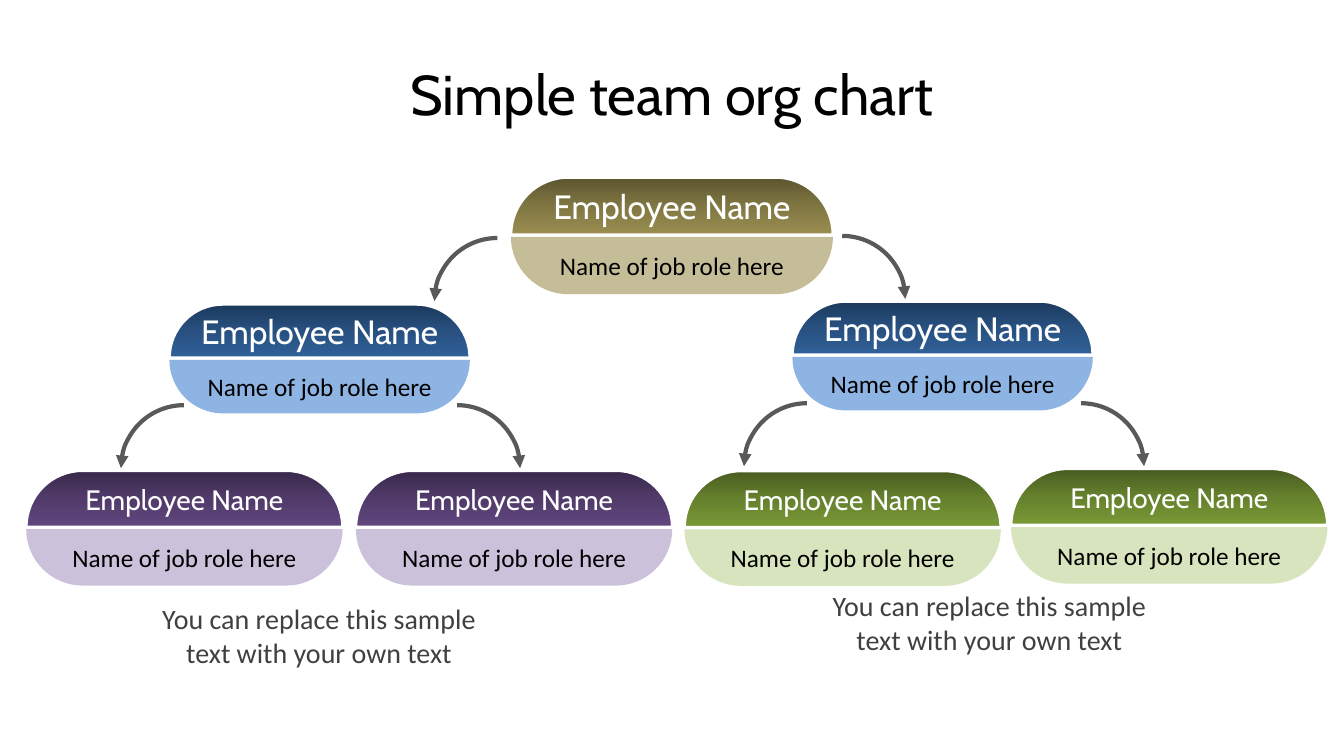
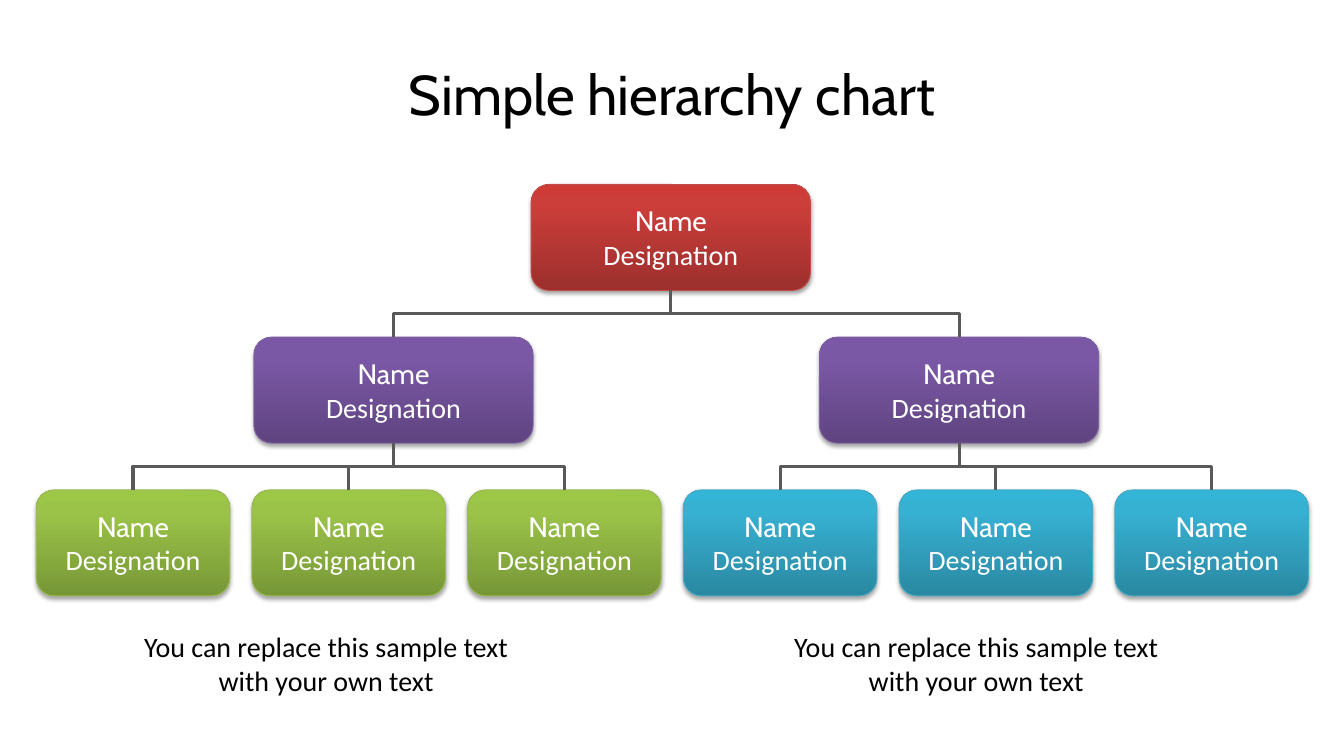
from copy import deepcopy
from math import cos, pi, sin

from pptx import Presentation
from pptx.dml.color import RGBColor
from pptx.enum.shapes import MSO_CONNECTOR, MSO_SHAPE
from pptx.enum.text import MSO_ANCHOR, PP_ALIGN
from pptx.oxml import parse_xml
from pptx.oxml.ns import nsdecls, qn
from pptx.util import Pt

COLOURS = {"text": "000000", "white": "FFFFFF", "soft": "404040", "link": "595959"}
GRADIENTS = {
    "olive": ("5A542F", "817743", "998D4F"),
    "navy": ("1C395B", "285181", "306099"),
    "plum": ("39294B", "513B6B", "60467E"),
    "leaf": ("485B20", "66812D", "799936"),
    "red": ("9C2F2D", "CB3E3A", "CE3B37"),
    "violet": ("5F4480", "7B58A6", "7C57A8"),
    "lime": ("779737", "9BC348", "9DC746"),
    "cyan": ("2A88A2", "37B1D2", "34B4D6"),
}
ROLE_FILLS = {"olive": "C4BD97", "navy": "8EB4E3", "plum": "CCC1DA", "leaf": "D7E4BD"}
BORDERS = {"red": "BF4C48", "violet": "7D60A0", "lime": "98B955", "cyan": "46AAC5"}
HEADING, BODY = "Cabin", "Calibri"
SAMPLE = "You can replace this sample text with your own text"


class ChartDeck:
    def __init__(self):
        self.deck = Presentation()
        self.deck.slide_width, self.deck.slide_height = Pt(960), Pt(540)
        self.shapes = None

    def add_slide(self, title):
        self.shapes = self.deck.slides.add_slide(self.deck.slide_layouts[6]).shapes
        self.label(48, 21.6, 864, 90, title, 40, HEADING, COLOURS["text"], MSO_ANCHOR.MIDDLE)

    def set_text(self, shape, text, styles, anchor):
        frame = shape.text_frame
        frame.word_wrap = True
        frame.vertical_anchor = anchor
        frame.text = text
        for paragraph, (size, font, colour) in zip(frame.paragraphs, styles):
            paragraph.alignment = PP_ALIGN.CENTER
            for run in paragraph.runs:
                run.font.size = Pt(size)
                run.font.name = font
                run.font.color.rgb = RGBColor.from_string(colour)

    def label(self, left, top, width, height, text, size, font, colour, anchor=MSO_ANCHOR.TOP):
        box = self.shapes.add_textbox(Pt(left), Pt(top), Pt(width), Pt(height))
        self.set_text(box, text, [(size, font, colour)], anchor)

    def stroke(self, line, colour, width):
        line.color.rgb = RGBColor.from_string(colour)
        line.width = Pt(width)

    def shade(self, shape, palette, middle, angle):
        shape.fill.gradient()
        shape.fill.gradient_angle = angle
        stop_list = next(shape._element.spPr.iter(qn("a:gsLst")))
        stop_list.insert(1, deepcopy(stop_list[0]))
        stops = zip(shape.fill.gradient_stops, (0, middle, 1), GRADIENTS[palette])
        for stop, position, colour in stops:
            stop.position = position
            stop.color.rgb = RGBColor.from_string(colour)

    def half_pill(self, left, flat_edge, width, height, direction):
        angles = [pi / 2 * step / 16 for step in range(17)]
        curve = [(height * (1 - cos(a)), flat_edge + direction * height * sin(a)) for a in angles]
        outline = [(left + x, y) for x, y in curve]
        outline += [(left + width - x, y) for x, y in reversed(curve)]
        points = [(Pt(x), Pt(y)) for x, y in outline]
        builder = self.shapes.build_freeform(*points[0], scale=1.0)
        builder.add_line_segments(points[1:], close=True)
        half = builder.convert_to_shape()
        half.shadow.inherit = False
        return half

    def pill(self, left, top, width, height, palette, name_size):
        name = self.half_pill(left, top + height, width, height, -1)
        self.shade(name, palette, 0.5, 270)
        self.stroke(name.line, COLOURS["white"], 2)
        self.set_text(name, "Employee Name", [(name_size, HEADING, COLOURS["white"])], MSO_ANCHOR.MIDDLE)
        role = self.half_pill(left, top + height + 1.5, width, height, 1)
        role.fill.solid()
        role.fill.fore_color.rgb = RGBColor.from_string(ROLE_FILLS[palette])
        role.line.fill.background()
        self.set_text(role, "Name of job role here", [(18, BODY, COLOURS["text"])], MSO_ANCHOR.MIDDLE)

    def curved_arrow(self, left, top, to_left):
        arc = self.shapes.add_shape(MSO_SHAPE.ARC, Pt(left), Pt(top), Pt(90), Pt(90))
        arc.shadow.inherit = False
        arc.fill.background()
        self.stroke(arc.line, COLOURS["link"], 3)
        properties = arc._element.spPr
        properties.find(qn("a:ln")).append(parse_xml(f'<a:tailEnd {nsdecls("a")} type="triangle"/>'))
        if to_left:
            properties.find(qn("a:xfrm")).set("flipH", "1")

    def card(self, left, top, width, palette):
        card = self.shapes.add_shape(
            MSO_SHAPE.ROUNDED_RECTANGLE, Pt(left), Pt(top), Pt(width), Pt(75.6))
        self.shade(card, palette, 0.8, 90)
        self.stroke(card.line, BORDERS[palette], 0.75)
        card.shadow.inherit = False
        card._element.spPr.find(qn("a:effectLst")).append(parse_xml(
            f'<a:outerShdw {nsdecls("a")} blurRad="{Pt(3.1)}" dist="{Pt(1.8)}" dir="5400000" '
            'rotWithShape="0"><a:srgbClr val="000000"><a:alpha val="35000"/></a:srgbClr>'
            '</a:outerShdw>'))
        styles = [(20, font, COLOURS["white"]) for font in (HEADING, BODY)]
        self.set_text(card, "Name\nDesignation", styles, MSO_ANCHOR.MIDDLE)
        return card

    def link(self, parent, child):
        start_x, start_y = parent.left + parent.width // 2, parent.top + parent.height
        end_x, end_y = child.left + child.width // 2, child.top
        link = self.shapes.add_connector(MSO_CONNECTOR.ELBOW, start_x, start_y, end_x, end_y)
        link.begin_connect(parent, 2)
        link.end_connect(child, 0)
        to_left = end_x < start_x
        drop, reach = end_y - start_y, abs(end_x - start_x)
        middle_x, middle_y = (start_x + end_x) // 2, (start_y + end_y) // 2
        near, far = middle_x - drop // 2, middle_x + drop // 2
        link.begin_x, link.end_x = (near, far) if to_left else (far, near)
        link.begin_y, link.end_y = middle_y - reach // 2, middle_y + reach // 2
        properties = link._element.spPr
        properties.find(qn("a:xfrm")).set("rot", "5400000" if to_left else "16200000")
        self.stroke(link.line, COLOURS["link"], 2.25)
        properties.append(parse_xml(f'<a:effectLst {nsdecls("a")}/>'))


def team_chart(deck):
    deck.add_slide("Simple team org chart")
    arrows = [(556.6, 168.5, False), (310.3, 170, True), (86.4, 289.4, True),
              (281.5, 289.4, False), (727.2, 288, False), (531.4, 288, True)]
    for arrow in arrows:
        deck.curved_arrow(*arrow)
    deck.pill(365, 126.7, 230, 41, "olive", 24)
    for left, top in ((566, 215.3), (121, 217.4)):
        deck.pill(left, top, 214.6, 38.2, "navy", 24)
    staff = [(18.7, 336.2, "plum"), (254.2, 336.2, "plum"),
             (488.9, 336.4, "leaf"), (722.2, 334.8, "leaf")]
    for left, top, palette in staff:
        deck.pill(left, top, 226, 40.3, palette, 20)
    for left, top in ((105.1, 426.2), (583.9, 416.9)):
        deck.label(left, top, 245.5, 55.4, SAMPLE, 20, BODY, COLOURS["soft"])


def hierarchy_chart(deck):
    deck.add_slide("Simple hierarchy chart")
    tops = [131.8 + 109.1 * level for level in range(3)]
    head = deck.card(379.5, tops[0], 199.4, "red")
    managers = [deck.card(left, tops[1], 199.4, "violet") for left in (181.4, 585.4)]
    staff = [deck.card(25.9 + 154.1 * column, tops[2], 138.2, ("lime", "cyan")[column // 3])
             for column in range(6)]
    for column, member in enumerate(staff):
        deck.link(managers[column // 3], member)
    for manager in managers:
        deck.link(head, manager)
    for left in (89.3, 553.7):
        deck.label(left, 446.4, 287.3, 55.4, SAMPLE, 20, BODY, COLOURS["text"])


def main():
    deck = ChartDeck()
    team_chart(deck)
    hierarchy_chart(deck)
    deck.deck.save("out.pptx")


if __name__ == "__main__":
    main()
